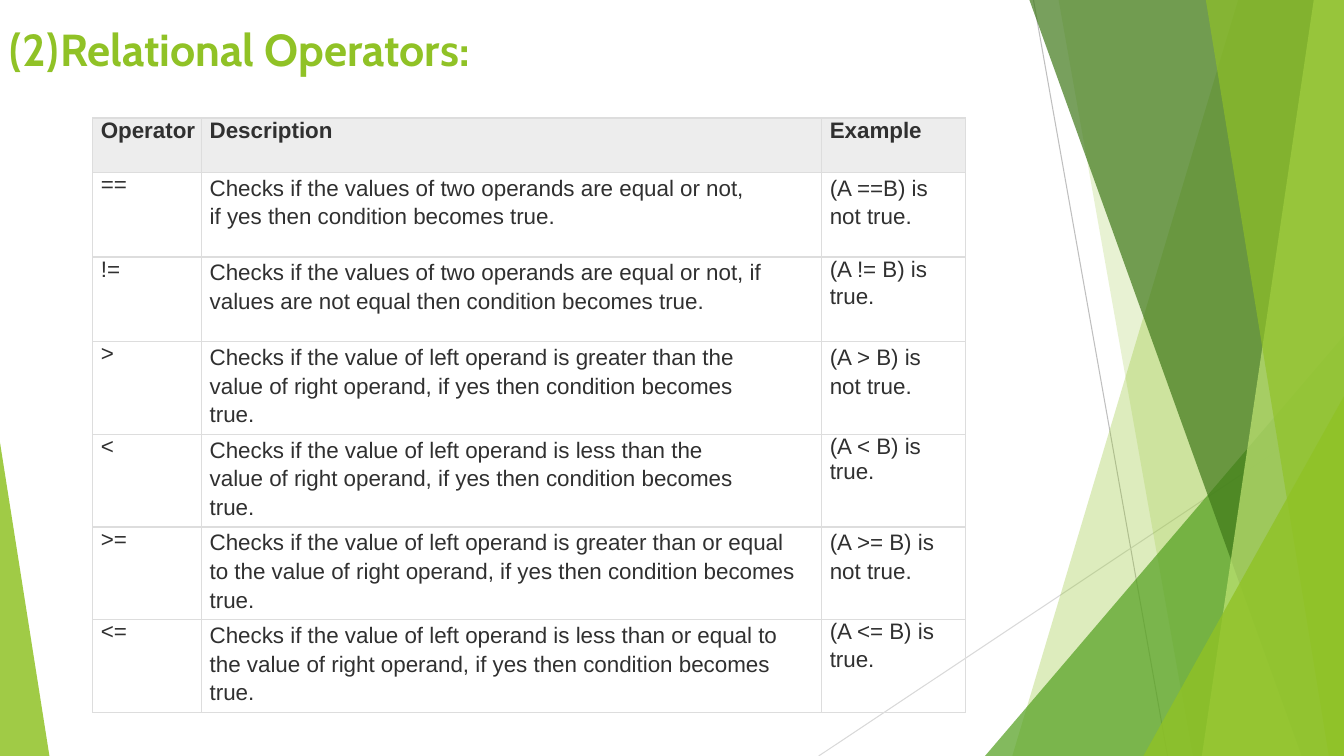
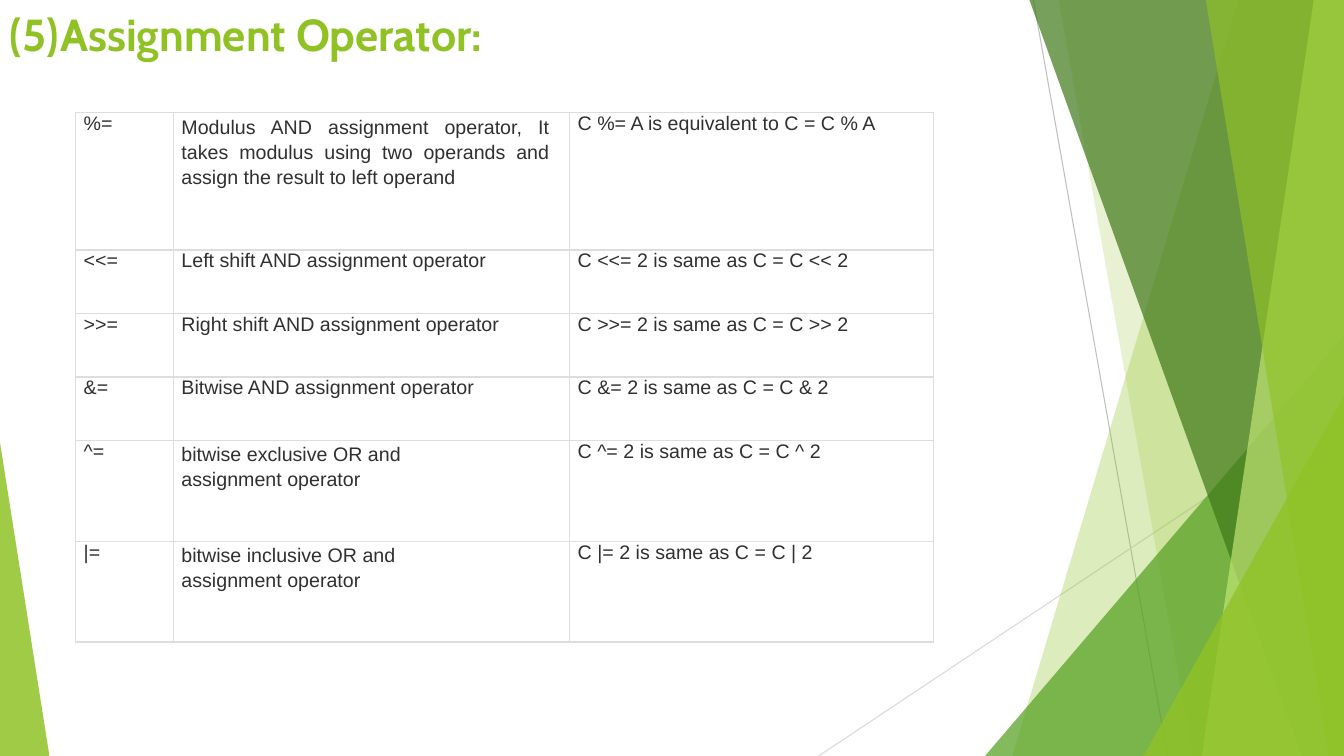
from lxml import etree
from pptx import Presentation
from pptx.dml.color import RGBColor
from pptx.enum.shapes import MSO_CONNECTOR, MSO_SHAPE
from pptx.enum.text import PP_ALIGN
from pptx.oxml import parse_xml
from pptx.oxml.ns import nsdecls, qn
from pptx.util import Inches, Pt

STRAIGHT = MSO_CONNECTOR.STRAIGHT
TRIANGLE = MSO_SHAPE.ISOSCELES_TRIANGLE
LEFT, JUSTIFY = PP_ALIGN.LEFT, PP_ALIGN.JUSTIFY

LIME = RGBColor(0x90, 0xC2, 0x26)
GREEN = RGBColor(0x54, 0xA0, 0x21)
DARK_GREEN = RGBColor(0x3F, 0x78, 0x19)
PALE_LIME = RGBColor(0xC0, 0xE4, 0x74)
GRAY = RGBColor(0xBF, 0xBF, 0xBF)
LIGHT_GRAY = RGBColor(0xD9, 0xD9, 0xD9)
BORDER = RGBColor(0xDD, 0xDD, 0xDD)
HEADER_FILL = RGBColor(0xED, 0xED, 0xED)
INK = RGBColor(0x30, 0x30, 0x30)

WIDTH, HEIGHT = 13.33, 7.5
INDENT = 0.08
TITLE_TAB = 0.5
LOOSE = 1.15

RAYS = [
    (10.25, 0, 11.58, HEIGHT, GRAY),
    (WIDTH, 4.03, 8.12, HEIGHT, LIGHT_GRAY),
]
# fmt: skip
FACETS = [
    ("band", 12.28, 10.04, LIME, 30),
    ("band", 10.5, 11.83, LIME, 20),
    ("corner", 9.77, 3.33, 3.56, 1, GREEN, 72),
    ("band", 10.21, 12.91, DARK_GREEN, 70),
    ("band", 13.03, 11.92, PALE_LIME, 70),
    ("band", 11.96, 13.18, LIME, 65),
    ("corner", 11.34, 3.93, 1.99, 1, LIME, 80),
    ("corner", 0, 4.39, 0.49, 0, LIME, 85),
]


def cell_style(text, spacing=None, right=0, align=LEFT):
    return text, spacing, right, align


EQUAL = "Checks if the values of two operands are equal or not, "
THAN = "Checks if the value of left operand is "
RIGHT_SIDE = "the value of right operand, if yes then condition becomes true."
NARROW, WIDE = 0.71, 0.22

relational = [
    [cell_style(heading) for heading in ("Operator", "Description", "Example")]
]
for operator, description, right, example, spacing in [
    ("==", EQUAL + "if yes then condition becomes true.", NARROW, "(A ==B) is not true.", LOOSE),
    ("!=", EQUAL + "if values are not equal then condition becomes true.", WIDE,
     "(A != B) is\ntrue.", None),
    (">", THAN + "greater than " + RIGHT_SIDE, NARROW, "(A > B) is not true.", LOOSE),
    ("<", THAN + "less than " + RIGHT_SIDE, NARROW, "(A < B) is true.", None),
    (">=", THAN + "greater than or equal to " + RIGHT_SIDE, WIDE, "(A >= B) is not true.", LOOSE),
    ("<=", THAN + "less than or equal to " + RIGHT_SIDE, WIDE, "(A <= B) is\ntrue.", None),
]:
    relational.append([
        cell_style(operator),
        cell_style(description, LOOSE, right),
        cell_style(example, spacing, 0.2),
    ])

assignment = [
    [cell_style("%="),
     cell_style("Modulus AND assignment operator, It takes modulus using two operands "
                "and assign the result to left operand", LOOSE, 0.2, JUSTIFY),
     cell_style("C %= A is equivalent to C = C % A")],
]
for operator, description, spacing, right in [
    ("<<", "Left shift AND assignment operator", None, 0),
    (">>", "Right shift AND assignment operator", None, 0),
    ("&", "Bitwise AND assignment operator", None, 0),
    ("^", "bitwise exclusive OR and assignment operator", LOOSE, 1.3),
    ("|", "bitwise inclusive OR and assignment operator", LOOSE, 1.3),
]:
    assignment.append([
        cell_style(f"{operator}="),
        cell_style(description, spacing, right),
        cell_style(f"C {operator}= 2 is same as C = C {operator} 2"),
    ])

PAGES = [
    ("(2)\tRelational Operators:", 0.17, (0.92, 1.17), (1.08, 6.15, 1.43),
     (0.54,) + (0.84,) * 6, 16, True, relational),
    ("(5)\tAssignment Operator:", 0.02, (0.75, 1.12), (0.97, 3.93, 3.61),
     (1.36, 0.63, 0.63, 0.63, 1, 1), 14, False, assignment),
]


def style_run(run, font_name, size, color, bold):
    run.font.name = font_name
    run.font.size = Pt(size)
    run.font.color.rgb = color
    run.font.bold = bold


prs = Presentation()
prs.slide_width, prs.slide_height = Inches(WIDTH), Inches(HEIGHT)

for title, title_top, origin, widths, heights, size, has_header, rows in PAGES:
    slide = prs.slides.add_slide(prs.slide_layouts[6])

    for x1, y1, x2, y2, color in RAYS:
        ray = slide.shapes.add_connector(
            STRAIGHT, Inches(x1), Inches(y1), Inches(x2), Inches(y2))
        ray.line.color.rgb = color
        ray.line.width = Pt(0.75)
        etree.SubElement(ray.element.spPr, qn("a:effectLst"))

    for kind, *geometry, color, opacity in FACETS:
        if kind == "band":
            top_x, bottom_x = geometry
            outline = slide.shapes.build_freeform(Inches(top_x), 0)
            outline.add_line_segments([
                (Inches(WIDTH), 0),
                (Inches(WIDTH), Inches(HEIGHT)),
                (Inches(bottom_x), Inches(HEIGHT)),
            ])
            facet = outline.convert_to_shape()
        else:
            left, top, width, apex = geometry
            facet = slide.shapes.add_shape(
                TRIANGLE, Inches(left), Inches(top), Inches(width), Inches(HEIGHT - top))
            facet.adjustments[0] = apex
        facet.shadow.inherit = False
        facet.line.fill.background()
        facet.fill.solid()
        facet.fill.fore_color.rgb = color
        tint = facet.element.spPr.find(qn("a:solidFill"))[0]
        etree.SubElement(tint, qn("a:alpha"), val=str(opacity * 1000))

    heading_box = slide.shapes.add_textbox(0, Inches(title_top), Inches(10), Inches(1))
    heading_box.text_frame.word_wrap = True
    heading = heading_box.text_frame.paragraphs[0]
    heading.text = title
    tabs = etree.SubElement(heading._p.get_or_add_pPr(), qn("a:tabLst"))
    etree.SubElement(tabs, qn("a:tab"), pos=str(Inches(TITLE_TAB)), algn="l")
    style_run(heading.runs[0], "Cabin", 32, LIME, True)

    grid = slide.shapes.add_table(
        len(rows), len(widths), Inches(origin[0]), Inches(origin[1]),
        Inches(sum(widths)), Inches(sum(heights))).table
    grid.first_row = has_header
    grid.horz_banding = False
    for column, width in zip(grid.columns, widths):
        column.width = Inches(width)
    for row, height in zip(grid.rows, heights):
        row.height = Inches(height)

    for r, row in enumerate(rows):
        is_header = has_header and r == 0
        for c, (text, spacing, right, align) in enumerate(row):
            cell = grid.cell(r, c)
            cell.margin_top = cell.margin_bottom = 0
            cell.margin_left, cell.margin_right = Inches(INDENT), Inches(right)
            if is_header:
                cell.fill.solid()
                cell.fill.fore_color.rgb = HEADER_FILL
            else:
                cell.fill.background()
            for i, side in enumerate(("lnL", "lnR", "lnT", "lnB")):
                cell._tc.get_or_add_tcPr().insert(i, parse_xml(
                    f'<a:{side} {nsdecls("a")} w="{Pt(1)}"><a:solidFill>'
                    f'<a:srgbClr val="{BORDER}"/></a:solidFill></a:{side}>'))
            cell.text_frame.text = text
            for i, paragraph in enumerate(cell.text_frame.paragraphs):
                paragraph.alignment = align
                if spacing:
                    paragraph.line_spacing = spacing
                if i:
                    paragraph.space_before = Pt(2)
                style_run(paragraph.runs[0], "Arial", size, INK, is_header)

prs.save("out.pptx")
